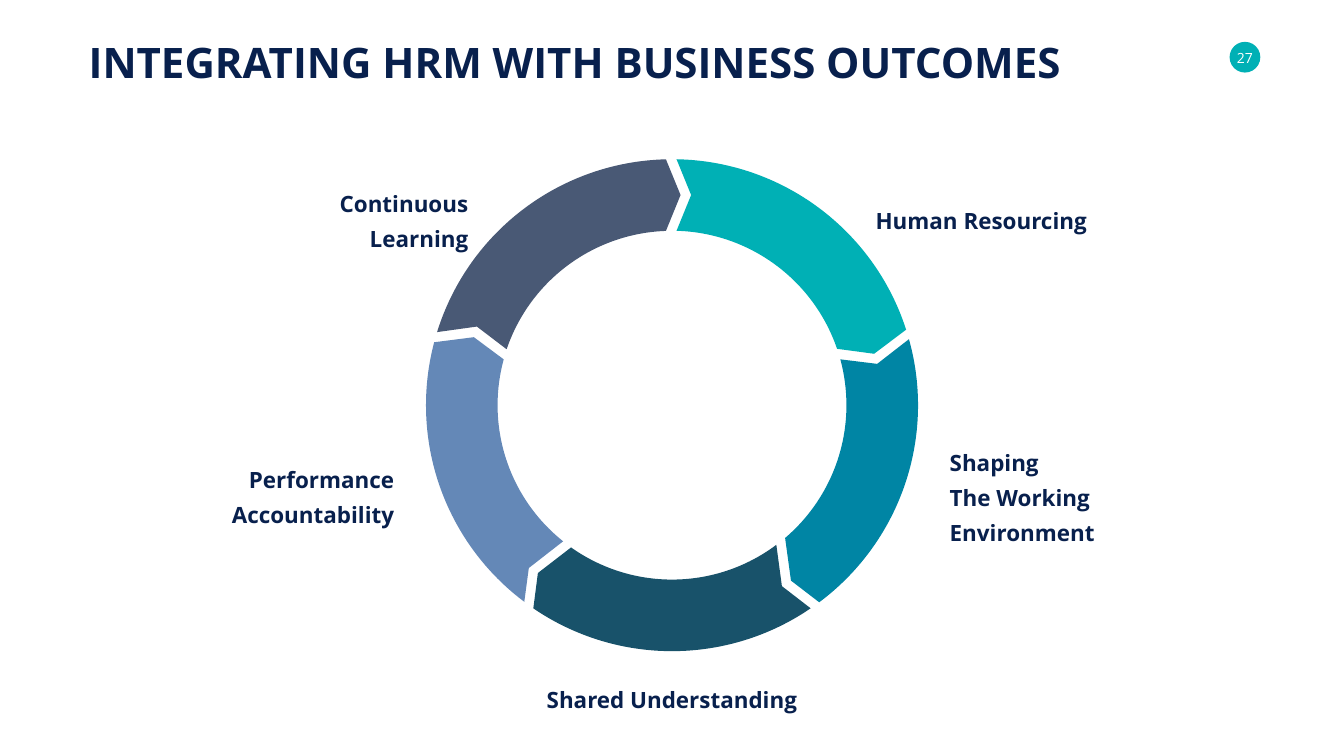
from math import atan2, cos, pi, sin, tan, tau

from lxml import etree
from pptx import Presentation
from pptx.dml.color import RGBColor
from pptx.enum.shapes import MSO_SHAPE
from pptx.enum.text import MSO_ANCHOR, MSO_AUTO_SIZE, PP_ALIGN
from pptx.oxml.ns import qn
from pptx.util import Inches, Pt

OVAL = MSO_SHAPE.OVAL
TOP, MIDDLE = MSO_ANCHOR.TOP, MSO_ANCHOR.MIDDLE
GROW = MSO_AUTO_SIZE.SHAPE_TO_FIT_TEXT
LEFT, CENTER, RIGHT = PP_ALIGN.LEFT, PP_ALIGN.CENTER, PP_ALIGN.RIGHT

NAVY = RGBColor(0x08, 0x20, 0x4D)
WHITE = RGBColor(0xFF, 0xFF, 0xFF)
TEAL = RGBColor(0x00, 0xB0, 0xB5)
BLUE = RGBColor(0x00, 0x85, 0xA4)
DARK = RGBColor(0x18, 0x52, 0x6A)
LIGHT = RGBColor(0x64, 0x88, 0xB7)
SLATE = RGBColor(0x49, 0x59, 0x75)

MID_X, MID_Y = 13.33, 8.04
OUTER, INNER = 4.88, 3.46


def arc(start, end, radius):
    """Bezier points of the clockwise arc, cut where it crosses an axis of the ring."""
    first, last = (atan2(y - MID_Y, x - MID_X) for x, y in (start, end))
    last = first + (last - first) % tau
    cuts = [q * pi / 2 for q in range(-2, 5) if first < q * pi / 2 < last]
    stops = [first, *cuts, last]
    points = [start]
    for a, b in zip(stops, stops[1:]):
        pull = 4 / 3 * tan((b - a) / 4)
        for angle, k in ((a, pull), (b, -pull), (b, 0)):
            points.append((MID_X + radius * (cos(angle) - k * sin(angle)),
                           MID_Y + radius * (sin(angle) + k * cos(angle))))
    return points


def add_text(box, lines, size, color, align, anchor, space=None, bold=True):
    frame = box.text_frame
    frame.word_wrap = False
    frame.auto_size = GROW
    frame.vertical_anchor = anchor
    look = {"name": "Open Sans", "size": Pt(size), "bold": bold}
    for i, line in enumerate(lines):
        para = frame.add_paragraph() if i else frame.paragraphs[0]
        para.alignment = align
        para.line_spacing = space
        run = para.add_run()
        run.text = line
        for key, value in look.items():
            setattr(run.font, key, value)
        run.font.color.rgb = color
    return frame


deck = Presentation()
deck.slide_width, deck.slide_height = Inches(26.66), Inches(15)
slide = deck.slides.add_slide(deck.slide_layouts[6])
shapes = slide.shapes

# Page number
badge = shapes.add_shape(OVAL, *map(Inches, (24.39, 0.83, 0.61, 0.61)))
badge.shadow.inherit = False
badge.fill.solid()
badge.fill.fore_color.rgb = TEAL
badge.line.fill.background()
box = shapes.add_textbox(*map(Inches, (24.52, 0.97, 0.35, 0.34)))
frame = add_text(box, ["27"], 20, WHITE, CENTER, MIDDLE, bold=False)
for side in ("left", "top", "right", "bottom"):
    setattr(frame, "margin_" + side, 0)

# Title
box = shapes.add_textbox(*map(Inches, (1.66, 0.67, 19.68, 1.11)))
add_text(box, ["INTEGRATING HRM WITH BUSINESS OUTCOMES"], 60, NAVY, LEFT, TOP)

# Ring of arrows: tail and head edges, each as outer, middle and inner point
arrows = [
    (TEAL, [(13.42, 3.16), (13.71, 3.87), (13.42, 4.58)],
     [(17.98, 6.54), (17.34, 7.02), (16.61, 6.92)]),
    (SLATE, [(8.67, 6.59), (9.46, 6.48), (10.05, 6.93)],
     [(13.21, 3.16), (13.5, 3.87), (13.21, 4.58)]),
    (LIGHT, [(10.4, 11.94), (10.49, 11.27), (11.17, 10.74)],
     [(8.61, 6.79), (9.4, 6.69), (9.99, 7.13)]),
    (BLUE, [(18.03, 6.73), (17.4, 7.22), (16.67, 7.13)],
     [(16.25, 11.95), (15.69, 11.52), (15.57, 10.67)]),
    (DARK, [(16.08, 12.07), (15.51, 11.63), (15.4, 10.81)],
     [(10.58, 12.07), (10.67, 11.37), (11.33, 10.86)]),
]
for color, tail, head in arrows:
    rim = arc(tail[0], head[0], OUTER)
    hole = arc(tail[2], head[2], INNER)[::-1]
    points = [(Inches(x), Inches(y)) for x, y in rim + [head[1]] + hole + [tail[1]]]
    pen = shapes.build_freeform(*points[0])
    pen.add_line_segments(points[1:], close=True)
    arrow = pen.convert_to_shape()
    arrow.shadow.inherit = False
    arrow.fill.solid()
    arrow.fill.fore_color.rgb = color
    arrow.line.fill.background()

    # Join each three lines of an arc into one curve
    lines = list(arrow._element.iter(qn("a:lnTo")))
    turn = len(rim) + 1
    starts = [*range(0, len(rim) - 1, 3), *range(turn, turn + len(hole) - 1, 3)]
    for start in starts:
        curve = etree.Element(qn("a:cubicBezTo"))
        lines[start].addprevious(curve)
        for line in lines[start:start + 3]:
            curve.append(line[0])
            line.getparent().remove(line)

# Labels
labels = [
    ((10.72, 13.4, 5.22, 0.74), ["Shared Understanding"], CENTER, TOP),
    ((18.74, 8.71, 3.1, 2.15), ["Shaping", "The Working", "Environment"], LEFT, MIDDLE),
    ((17.27, 3.93, 4.43, 0.74), ["Human Resourcing"], LEFT, MIDDLE),
    ((6.61, 3.58, 2.78, 1.44), ["Continuous", "Learning"], RIGHT, MIDDLE),
    ((4.47, 9.06, 3.45, 1.44), ["Performance", "Accountability"], RIGHT, MIDDLE),
]
for place, lines, align, anchor in labels:
    box = shapes.add_textbox(*map(Inches, place))
    add_text(box, lines, 32, NAVY, align, anchor, Pt(50))

deck.save("out.pptx")
